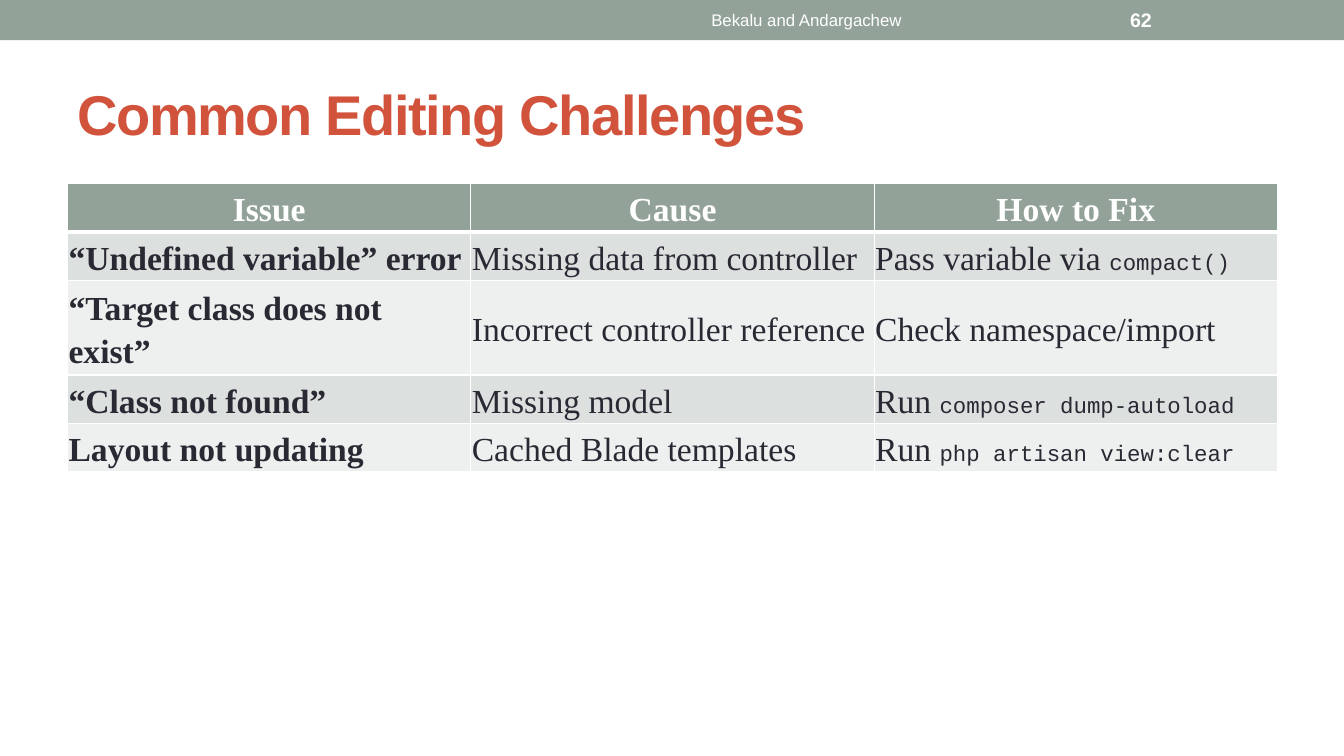
from lxml import etree
from pptx import Presentation
from pptx import util as u
from pptx.dml.color import RGBColor
from pptx.enum import shapes, text
from pptx.oxml.ns import qn

TITLE = "Common Editing Challenges"
FOOTER = "Bekalu and Andargachew"
PAGE = "62"
HEADER = ["Issue", "Cause", "How to Fix"]
ROWS = [
    ("“Undefined variable” error", "Missing data from controller", ("Pass variable via ", "compact()")),
    ("“Target class does not exist”", "Incorrect controller reference", ("Check namespace/import", "")),
    ("“Class not found”", "Missing model", ("Run ", "composer dump-autoload")),
    ("Layout not updating", "Cached Blade templates", ("Run ", "php artisan view:clear")),
]
SAGE, RUST, INK, WHITE = "93A299", "D2533C", "292934", "FFFFFF"
BANDS = ["DCE0DE", "EEF0EF"]
SERIF, MONO = "Times New Roman", "Courier New"
LEFT, TABLE_TOP, COL_W, HEAD_H, ROW_H = 0.67, 1.82, 4, 0.34, 0.41


def rgb(value):
    return RGBColor.from_string(value)


def add_text(p, content, font="Arial", size=24, color=INK, bold=False, spacing=None):
    r = p.add_run()
    r.text = content
    r.font.name, r.font.size, r.font.bold = font, u.Pt(size), bold
    r.font.color.rgb = rgb(color)
    if spacing is not None:
        r._r.get_or_add_rPr().set("spc", str(spacing * 100))


def add_box(s, x, y, w, h, content, align=text.PP_ALIGN.LEFT, **fmt):
    tf = s.shapes.add_textbox(*map(u.Inches, (x, y, w, h))).text_frame
    tf.word_wrap = True
    tf.vertical_anchor = text.MSO_ANCHOR.MIDDLE
    tf.paragraphs[0].alignment = align
    add_text(tf.paragraphs[0], content, **fmt)


def style_cell(cell, fill, top=1, bottom=1):
    cell.margin_left = cell.margin_right = cell.margin_top = cell.margin_bottom = u.Inches(0.01)
    cell.vertical_anchor = text.MSO_ANCHOR.MIDDLE
    tcPr = cell._tc.get_or_add_tcPr()
    for side, width in (("L", 1), ("R", 1), ("T", top), ("B", bottom)):
        ln = etree.SubElement(tcPr, qn(f"a:ln{side}"), w=str(u.Pt(width)))
        solid = etree.SubElement(ln, qn("a:solidFill"))
        etree.SubElement(solid, qn("a:srgbClr"), val=WHITE)
    cell.fill.solid()
    cell.fill.fore_color.rgb = rgb(fill)
    p = cell.text_frame.paragraphs[0]
    p.line_spacing = 1.15
    return p


def add_issue_table(s):
    height = HEAD_H + ROW_H * len(ROWS)
    frame = s.shapes.add_table(len(ROWS) + 1, len(HEADER), u.Inches(LEFT), u.Inches(TABLE_TOP),
                               u.Inches(COL_W * len(HEADER)), u.Inches(height))
    table = frame.table
    for col in table.columns:
        col.width = u.Inches(COL_W)
    for i, row in enumerate(table.rows):
        row.height = u.Inches(ROW_H if i else HEAD_H)
    for j, label in enumerate(HEADER):
        p = style_cell(table.cell(0, j), SAGE, bottom=3)
        p.alignment = text.PP_ALIGN.CENTER
        add_text(p, label, font=SERIF, color=WHITE, bold=True)
    for i, (issue, cause, (fix, code)) in enumerate(ROWS, 1):
        for j, content in enumerate((issue, cause, fix)):
            p = style_cell(table.cell(i, j), BANDS[(i - 1) % 2], top=3 if i == 1 else 1)
            add_text(p, content, font=SERIF, bold=j == 0)
        if code:
            add_text(p, code, font=MONO, size=16)


def main():
    prs = Presentation()
    prs.slide_width, prs.slide_height = u.Inches(13.33), u.Inches(7.5)
    s = prs.slides.add_slide(prs.slide_layouts[6])
    band = s.shapes.add_shape(shapes.MSO_SHAPE.RECTANGLE, 0, 0, prs.slide_width, u.Inches(0.4))
    band.shadow.inherit = False
    band.fill.solid()
    band.fill.fore_color.rgb = rgb(SAGE)
    band.line.fill.background()
    add_box(s, LEFT, 0.58, 12, 1.08, TITLE, size=40, color=RUST, bold=True, spacing=-1)
    add_issue_table(s)
    add_box(s, 5, 0.02, 6, 0.36, FOOTER, align=text.PP_ALIGN.CENTER, size=12, color=WHITE)
    add_box(s, 11.11, 0.02, 1.56, 0.36, PAGE, size=14, color=WHITE, bold=True)
    prs.save("out.pptx")


if __name__ == "__main__":
    main()
